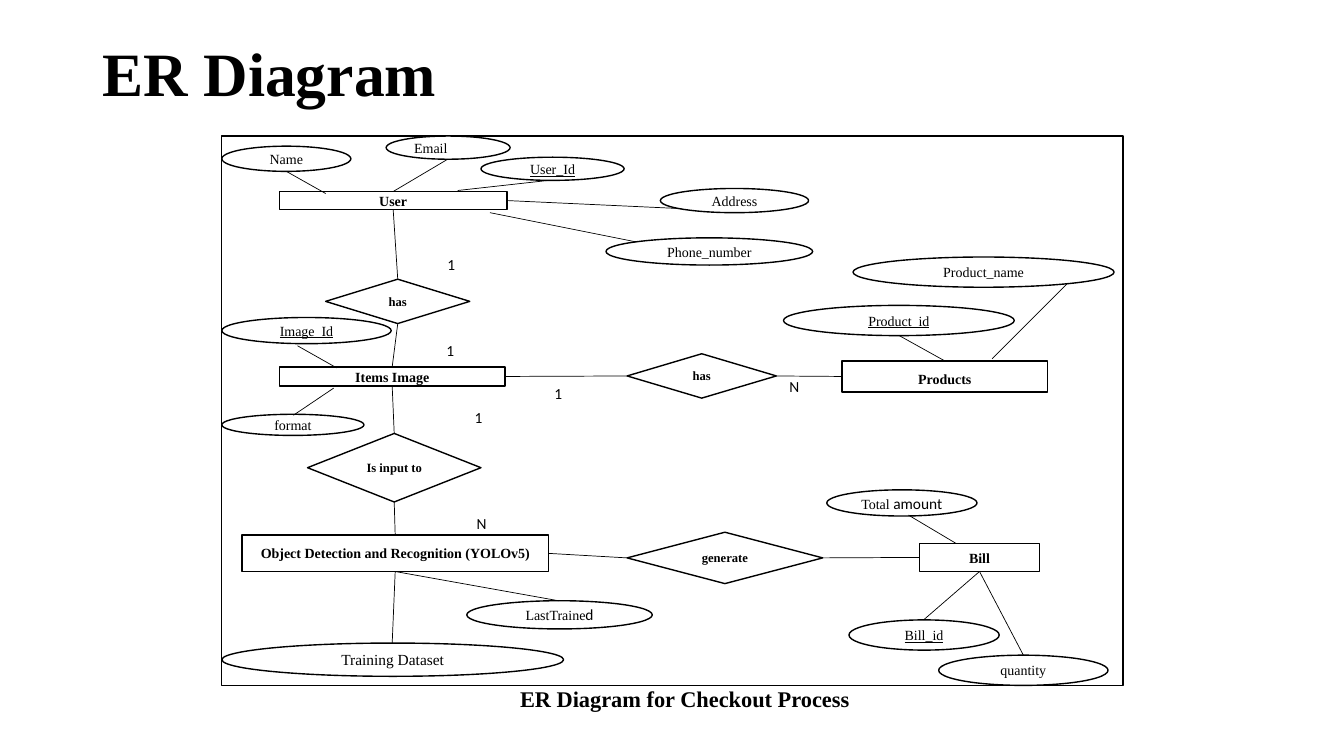
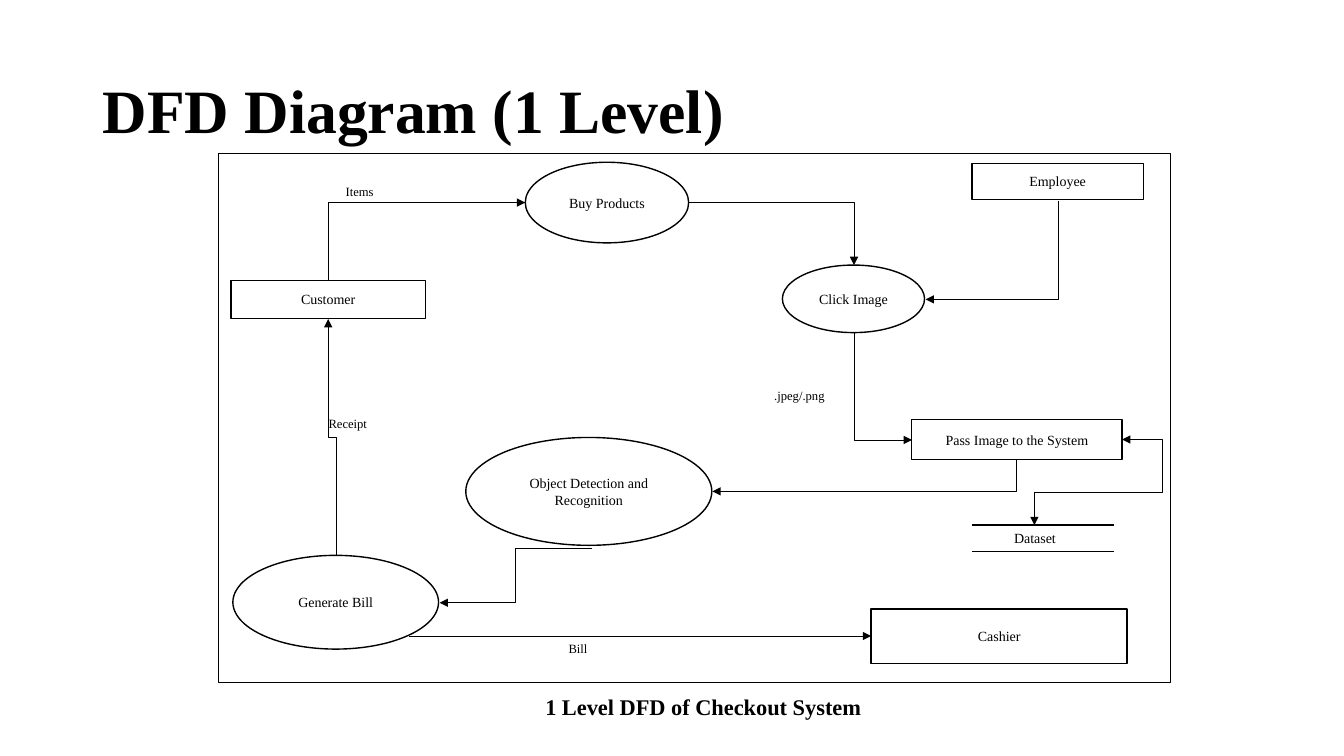
from pptx import Presentation
from pptx.dml.color import RGBColor
from pptx.enum.shapes import MSO_CONNECTOR, MSO_SHAPE
from pptx.enum.text import MSO_ANCHOR, PP_ALIGN
from pptx.util import Inches, Pt
from lxml import etree

BLACK = RGBColor(0, 0, 0)
WHITE = RGBColor(255, 255, 255)
SERIF, SANS = "Times New Roman", "Calibri"
RECT, OVAL = MSO_SHAPE.RECTANGLE, MSO_SHAPE.OVAL
RHOMB, ROUND = MSO_SHAPE.DIAMOND, MSO_SHAPE.FLOWCHART_CONNECTOR
STRAIGHT, ELBOW = MSO_CONNECTOR.STRAIGHT, MSO_CONNECTOR.ELBOW
MID, TOP = MSO_ANCHOR.MIDDLE, MSO_ANCHOR.TOP
LEFT, CENTER = PP_ALIGN.LEFT, PP_ALIGN.CENTER
NS = "{http://schemas.openxmlformats.org/drawingml/2006/main}"
NEAR = 0.035

docks = []  # (shape, site, x, y) for each side middle on the current slide


def node(slide, kind, box, text="", size=10, bold=False, under=False,
         font=SERIF, align=CENTER, anchor=MID):
    """Add an outlined shape, or a text box if kind is None.

    A part of the text after "|" is set in 11 pt Calibri.
    """
    place = [Inches(v) for v in box]
    if kind is None:
        shape = slide.shapes.add_textbox(*place)
    else:
        shape = slide.shapes.add_shape(kind, *place)
        shape.shadow.inherit = False
        shape.fill.solid()
        shape.fill.fore_color.rgb = WHITE
        shape.line.color.rgb = BLACK
        shape.line.width = Pt(1)
    if kind in (RECT, RHOMB):
        x, y, w, h = box
        mids = [(x + w / 2, y), (x, y + h / 2),
                (x + w / 2, y + h), (x + w, y + h / 2)]
        docks.extend((shape, i, *mid) for i, mid in enumerate(mids))
    if text:
        frame = shape.text_frame
        frame.word_wrap = True
        frame.vertical_anchor = anchor
        para = frame.paragraphs[0]
        para.alignment = align
        for i, part in enumerate(text.split("|")):
            run = para.add_run()
            run.text = part
            run.font.name = SANS if i else font
            run.font.size = Pt(11 if i else size)
            run.font.bold, run.font.underline = bold, under
            run.font.color.rgb = BLACK
    return shape


def link(slide, start, end, head=False, tail=False, width=0.5, kind=STRAIGHT):
    """Draw a connector; a straight one joins any side middle it meets."""
    line = slide.shapes.add_connector(kind, *[Inches(v) for v in (*start, *end)])
    line.line.color.rgb = BLACK
    line.line.width = Pt(width)
    props = line._element.spPr
    for tag, on in (("headEnd", head), ("tailEnd", tail)):
        if on:
            etree.SubElement(props.find(NS + "ln"), NS + tag, type="triangle")
    etree.SubElement(props, NS + "effectLst")
    if kind == STRAIGHT:
        for spot, join in ((start, line.begin_connect), (end, line.end_connect)):
            for shape, site, x, y in docks:
                if abs(spot[0] - x) < NEAR and abs(spot[1] - y) < NEAR:
                    join(shape, site)
                    break
    return line


prs = Presentation()
prs.slide_width, prs.slide_height = Inches(13.33), Inches(7.5)

pages = []
for title, top, note, spot, frame, width in [
    ("ER Diagram", 0.03, "ER Diagram for Checkout Process",
     (5.06, 6.75, 4.11, 0.37), (2.2, 1.35, 8.94, 5.45), 1),
    ("DFD Diagram (1 Level)", 0.4, "1 Level DFD of Checkout System",
     (5.31, 6.83, 4.33, 0.37), (2.17, 1.52, 9.44, 5.25), 0.75),
]:
    slide = prs.slides.add_slide(prs.slide_layouts[6])
    head = node(slide, None, (0.92, top, 11.5, 1.45), title, 44, True, align=LEFT)
    head.text_frame.paragraphs[0].line_spacing = 0.9
    node(slide, None, spot, note, 16, True, align=LEFT, anchor=TOP)
    node(slide, RECT, frame).line.width = Pt(width)
    pages.append(slide)
er = pages[0]
dfd = pages[1].shapes.add_group_shape()

# ER diagram
docks.clear()
for text, box in [
    ("User", (2.77, 1.9, 2.26, 0.18)),
    ("Items Image", (2.77, 3.64, 2.24, 0.19)),
    ("Bill", (9.12, 5.39, 1.19, 0.28)),
    ("Object Detection and Recognition (YOLOv5)", (2.4, 5.31, 3.04, 0.36)),
]:
    node(er, RECT, box, text, bold=True)
goods = node(er, RECT, (8.35, 3.58, 2.04, 0.31), "Products", bold=True)
goods.text_frame.margin_top = Inches(0.1)

for text, box in [
    ("has", (3.23, 2.77, 1.43, 0.44)),
    ("has", (6.22, 3.51, 1.48, 0.44)),
    ("generate", (6.22, 5.28, 1.94, 0.51)),
    ("Is input to", (3.05, 4.3, 1.72, 0.68)),
]:
    node(er, RHOMB, box, text, 9, True)

for text, box in [
    ("LastTraine|d", (4.63, 5.96, 1.84, 0.28)),
    ("Name", (2.2, 1.45, 1.28, 0.25)),
    ("Address", (6.55, 1.87, 1.47, 0.24)),
    ("Phone_number", (6.01, 2.36, 2.05, 0.27)),
    ("Product_name", (8.46, 2.55, 2.59, 0.3)),
    ("format", (2.2, 4.11, 1.41, 0.21)),
    ("quantity", (9.31, 6.5, 1.68, 0.3)),
    ("Total |amount", (8.2, 4.86, 1.49, 0.26)),
]:
    node(er, OVAL, box, text)
node(er, OVAL, (3.83, 1.35, 1.23, 0.23), "Email", align=LEFT)
node(er, OVAL, (2.2, 6.38, 3.39, 0.33), "Training Dataset", 11)

for text, box in [
    ("User_Id", (4.77, 1.56, 1.42, 0.23)),
    ("Product_id", (7.77, 3.03, 2.29, 0.3)),
    ("Image_Id", (2.2, 3.15, 1.68, 0.26)),
    ("Bill_id", (8.42, 6.15, 1.49, 0.3)),
]:
    node(er, OVAL, box, text, under=True)

for start, end in [
    # attributes
    [(2.84, 1.7), (3.23, 1.92)],
    [(5.44, 1.79), (4.54, 1.89)],
    [(4.44, 1.58), (3.9, 1.9)],
    [(5.03, 1.99), (6.76, 2.07)],
    [(4.86, 2.11), (6.31, 2.4)],
    [(8.92, 3.33), (9.37, 3.58)],
    [(10.59, 2.81), (9.84, 3.56)],
    [(2.95, 3.43), (3.34, 3.65)],
    [(2.91, 4.12), (3.31, 3.85)],
    [(9.71, 5.68), (9.16, 6.15)],
    [(9.01, 5.11), (9.48, 5.39)],
    [(9.71, 5.68), (10.15, 6.5)],
    [(3.89, 6.38), (3.92, 5.68)],
    [(5.54, 5.96), (3.92, 5.68)],
    # relations
    [(3.9, 2.11), (3.96, 2.77)],
    [(3.94, 3.21), (3.89, 3.64)],
    [(5.01, 3.73), (6.22, 3.73)],
    [(7.7, 3.73), (8.35, 3.73)],
    [(3.89, 3.83), (3.91, 4.3)],
    [(3.91, 4.98), (3.92, 5.31)],
    [(5.44, 5.49), (6.22, 5.53)],
    [(8.16, 5.53), (9.12, 5.53)],
]:
    link(er, start, end)

for text, x, y in [
    ("1", 4.34, 2.48), ("1", 4.33, 3.33), ("1", 5.4, 3.76),
    ("N", 7.73, 3.69), ("1", 4.61, 4),
]:
    node(er, None, (x, y, 0.5, 0.25), text, 11, font=SANS, align=LEFT, anchor=TOP)
many = node(er, RECT, (4.63, 5.05, 0.65, 0.19), "N", 11, font=SANS, align=LEFT, anchor=TOP)
many.line.fill.background()

# Data flow diagram
docks.clear()
parts = {}
for text, kind, box in [
    ("Employee", RECT, (9.64, 1.62, 1.7, 0.36)),
    ("Customer", RECT, (2.29, 2.78, 1.93, 0.38)),
    ("Cashier", RECT, (8.64, 6.04, 2.54, 0.54)),
    ("Pass Image to the System", RECT, (9.04, 4.16, 2.09, 0.4)),
    ("Buy Products", ROUND, (5.21, 1.61, 1.62, 0.8)),
    ("Click Image", ROUND, (7.76, 2.63, 1.41, 0.67)),
    ("Object Detection and Recognition", ROUND, (4.62, 4.34, 2.44, 1.07)),
    ("Generate Bill", ROUND, (2.31, 5.51, 2.04, 0.93)),
    ("Dataset", None, (9.18, 5.21, 2.17, 0.26)),
]:
    parts[text.split()[0]] = node(dfd, kind, box, text)

for y in (5.21, 5.47):
    link(dfd, (9.64, y), (11.05, y), width=1)
link(dfd, (4.06, 6.31), (8.64, 6.31), tail=True)

# Box before turning, turn in degrees, flip, bends, then both ends with their
# sites (a rectangle has 4, a round shape 8, counted from the top leftwards)
for (x, y, w, h), turn, flip, bends, *ends in [
    ((3.85, 1.42, 0.77, 1.95), 270, "", 2, ("Customer", 0), ("Buy", 2)),
    ((6.82, 2.01, 1.65, 0.62), 0, "", 2, ("Buy", 6), ("Click", 0)),
    ((9.35, 1.82, 0.98, 1.32), 90, "", 2, ("Employee", 2), ("Click", 6)),
    ((8.23, 3.55, 1.06, 0.57), 270, "flipH", 2, ("Click", 4), ("Pass", 1)),
    ((8.42, 3.21, 0.31, 3.02), 90, "", 2, ("Pass", 2), ("Object", 6)),
    ((4.36, 5.44, 1.51, 0.54), 180, "flipV", 3),
    ((2.12, 4.3, 2.35, 0.08), 90, "flipH", 3, ("Generate", 0), ("Customer", 2)),
    ((10.26, 4.36, 0.87, 0.85), 0, "flipH", 4, ("Pass", 3), ("Dataset", 0)),
]:
    line = link(dfd, (x, y), (x + w, y + h), bends == 4, True, kind=ELBOW)
    props = line._element.spPr
    frame, shape = props.find(NS + "xfrm"), props.find(NS + "prstGeom")
    frame.set("rot", str(turn * 60000))
    if flip:
        frame.set(flip, "1")
    shape.set("prst", f"bentConnector{bends}")
    if bends == 4:
        for name, val in (("adj1", -45700), ("adj2", 61800)):
            etree.SubElement(shape.find(NS + "avLst"), NS + "gd",
                             name=name, fmla=f"val {val}")
    for tag, (name, site) in zip(("stCxn", "endCxn"), ends):
        etree.SubElement(line._element.nvCxnSpPr.cNvCxnSpPr, NS + tag,
                         id=str(parts[name].shape_id), idx=str(site))

for text, x, y in [
    ("Items", 3.33, 1.78), ("Receipt", 3.16, 4.08),
    ("Bill", 5.54, 6.31), (".jpeg/.png", 7.58, 3.8),
]:
    node(dfd, None, (x, y, 1.15, 0.32), text, 9, align=LEFT, anchor=TOP)

prs.save("out.pptx")
